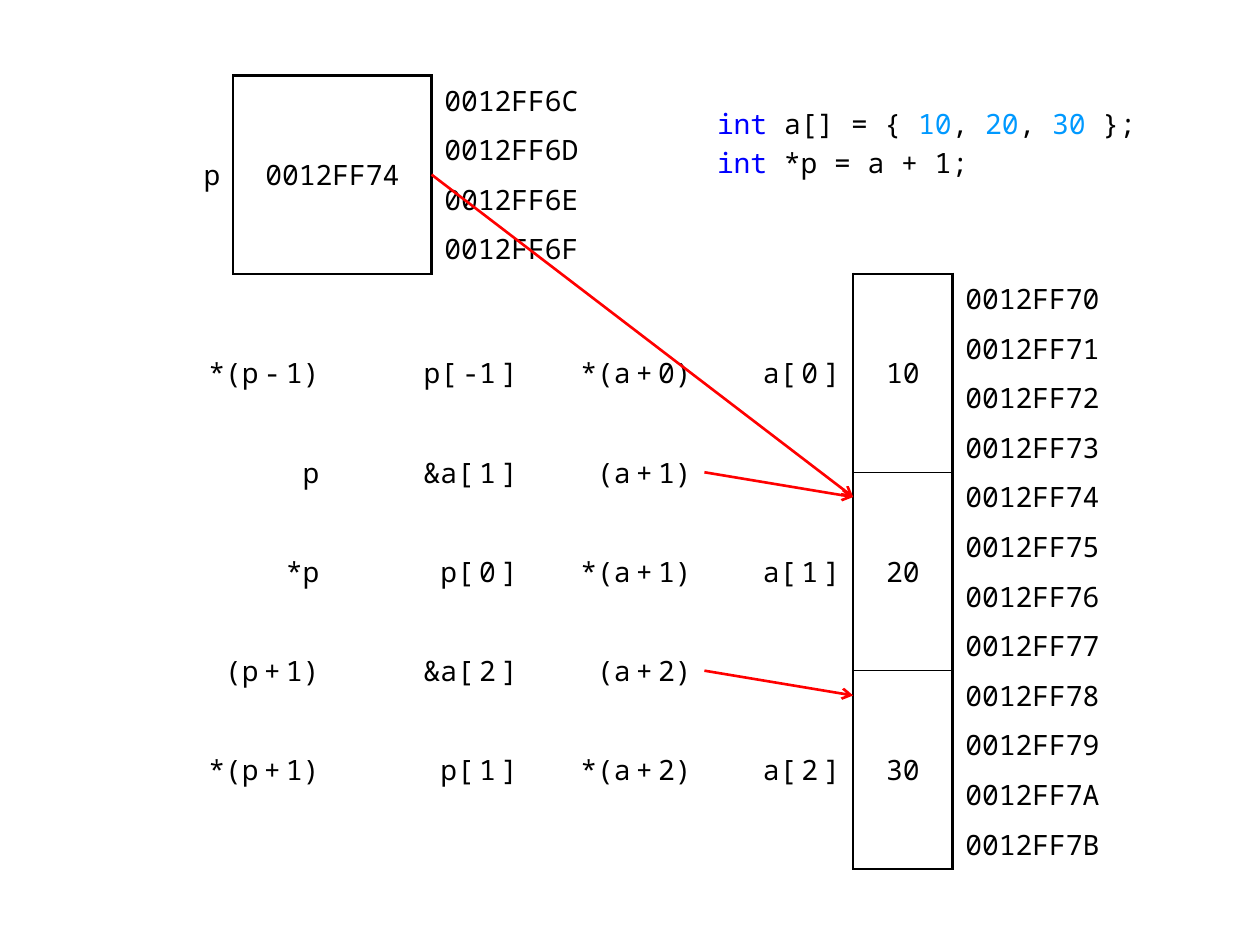
"""Build a slide that shows how a pointer addresses the elements of an int array."""
from lxml.etree import SubElement as Sub
from pptx import Presentation
from pptx.dml.color import RGBColor as RGB
from pptx.enum.shapes import MSO_CONNECTOR as Link
from pptx.enum.text import MSO_ANCHOR as Anchor, MSO_AUTO_SIZE as Fit, PP_ALIGN as Align
from pptx.oxml import parse_xml
from pptx.oxml.ns import nsdecls, qn
from pptx.util import Pt

PX = 7200
HUES = {"ink": "000000", "key": "0000FF", "num": "0099FF", "arrow": "FF0000"}
FONT = {"name": "Noto Sans Mono", "size": Pt(16), "bold": False}
CELL = {"margin_left": 13 * PX, "margin_right": 13 * PX, "margin_top": 2 * PX,
        "margin_bottom": 2 * PX, "vertical_anchor": Anchor.MIDDLE}
PLAIN = "{2D5ABB26-0587-4C30-8999-92F81FD0307C}"


def write(para, text, hue="ink", gap=0):
    run = para.add_run()
    run.text = text
    for key, val in FONT.items():
        setattr(run.font, key, val)
    run.font.color.rgb = RGB.from_string(HUES[hue])
    if gap:
        run._r.get_or_add_rPr().set("spc", str(gap))


def grid(left, top, wides, codes):
    high = 50
    frame = slide.shapes.add_table(len(codes), len(wides), left * PX, top * PX,
                                   sum(wides) * PX, len(codes) * high * PX)
    table = frame.table
    table.first_row = table.horz_banding = False
    table._tbl.tblPr.find(qn("a:tableStyleId")).text = PLAIN
    for col, wide in zip(table.columns, wides):
        col.width = wide * PX
    for row in table.rows:
        row.height = high * PX
    for cell in table.iter_cells():
        cell.fill.background()
        for key, val in CELL.items():
            setattr(cell, key, val)
    for row, code in enumerate(codes):
        write(table.cell(row, len(wides) - 1).text_frame.paragraphs[0], code)
    return table


deck = Presentation()
deck.slide_width = 1270 * PX
deck.slide_height = deck.slide_width * 3 // 4
slide = deck.slides.add_slide(deck.slide_layouts[1])
title = slide.shapes.title._element
title.getparent().remove(title)

body = slide.placeholders[1]
place = {"left": 710, "top": 101, "width": 450, "height": 100}
for key, val in place.items():
    setattr(body, key, val * PX)
body.text_frame.auto_size = Fit.NONE
code = [
    [("int ", "key"), ("a[] = { ", "ink"), ("10", "num"), (", ", "ink"),
     ("20", "num"), (", ", "ink"), ("30", "num"), (" };", "ink")],
    [("int", "key"), (" *p = a + 1;", "ink")],
]
body.text_frame.add_paragraph()
for para, line in zip(body.text_frame.paragraphs, code):
    para.space_before = Pt(3.2)
    props = para._p.get_or_add_pPr()
    props.set("marL", "0")
    props.set("indent", "0")
    Sub(props, qn("a:buNone"))
    for text, hue in line:
        write(para, text, hue)

base = 0x12FF70
array = grid(110, 276, [225, 200, 175, 150, 100, 200],
             [f"{base + i:08X}" for i in range(12)])
point = grid(135, 76, [100, 200, 175], [f"{base - 4 + i:08X}" for i in range(4)])

terms = [
    ["*(|p-|1)", "p|[|-|1|]", "*(|a+|0)", "a|[0|]"],
    ["p", "&a|[1|]", "(|a+|1)", ""],
    ["*p", "p|[0|]", "*(|a+|1)", "a|[1|]"],
    ["(|p+|1)", "&a|[2|]", "(|a+|2)", ""],
    ["*(|p+|1)", "p|[1|]", "*(|a+|2)", "a|[2|]"],
]
names = [(array, 2 * i + 1, col, 2, term)
         for i, line in enumerate(terms) for col, term in enumerate(line)]
names.append((point, 0, 0, 4, "p"))
for table, row, col, span, term in names:
    cell = table.cell(row, col)
    cell.merge(table.cell(row + span - 1, col))
    para = cell.text_frame.paragraphs[0]
    para.alignment = Align.RIGHT
    for i, part in enumerate(term.split("|") if term else []):
        write(para, part, gap=300 * (i % 2))

boxes = [
    (point, 0, 1, "0012FF74", 1.5, 1.5),
    (array, 0, 4, "10", 1.5, 1),
    (array, 4, 4, "20", 1, 1),
    (array, 8, 4, "30", 1, 1.5),
]
for table, row, col, text, top, low in boxes:
    cell = table.cell(row, col)
    cell.merge(table.cell(row + 3, col))
    para = cell.text_frame.paragraphs[0]
    para.alignment = Align.CENTER
    write(para, text)
    for step in range(4):
        edges = {"L": 1.5, "R": 1.5}
        if step == 0:
            edges["T"] = top
        if step in (0, 3):
            edges["B"] = low
        props = table.cell(row + step, col)._tc.get_or_add_tcPr()
        for i, (side, wide) in enumerate(edges.items()):
            props.insert(i, parse_xml(
                f'<a:ln{side} {nsdecls("a")} w="{Pt(wide)}"><a:solidFill>'
                f'<a:srgbClr val="{HUES["ink"]}"/></a:solidFill></a:ln{side}>'))

for ends in [(435, 176, 860, 501), (710, 476, 860, 501), (710, 676, 860, 701)]:
    arrow = slide.shapes.add_connector(Link.STRAIGHT, *[n * PX for n in ends])
    arrow.line.color.rgb = RGB.from_string(HUES["arrow"])
    arrow.line.width = Pt(1.5)
    Sub(arrow.line._get_or_add_ln(), qn("a:tailEnd")).set("type", "arrow")
    Sub(arrow._element.spPr, qn("a:effectLst"))

deck.save("out.pptx")
